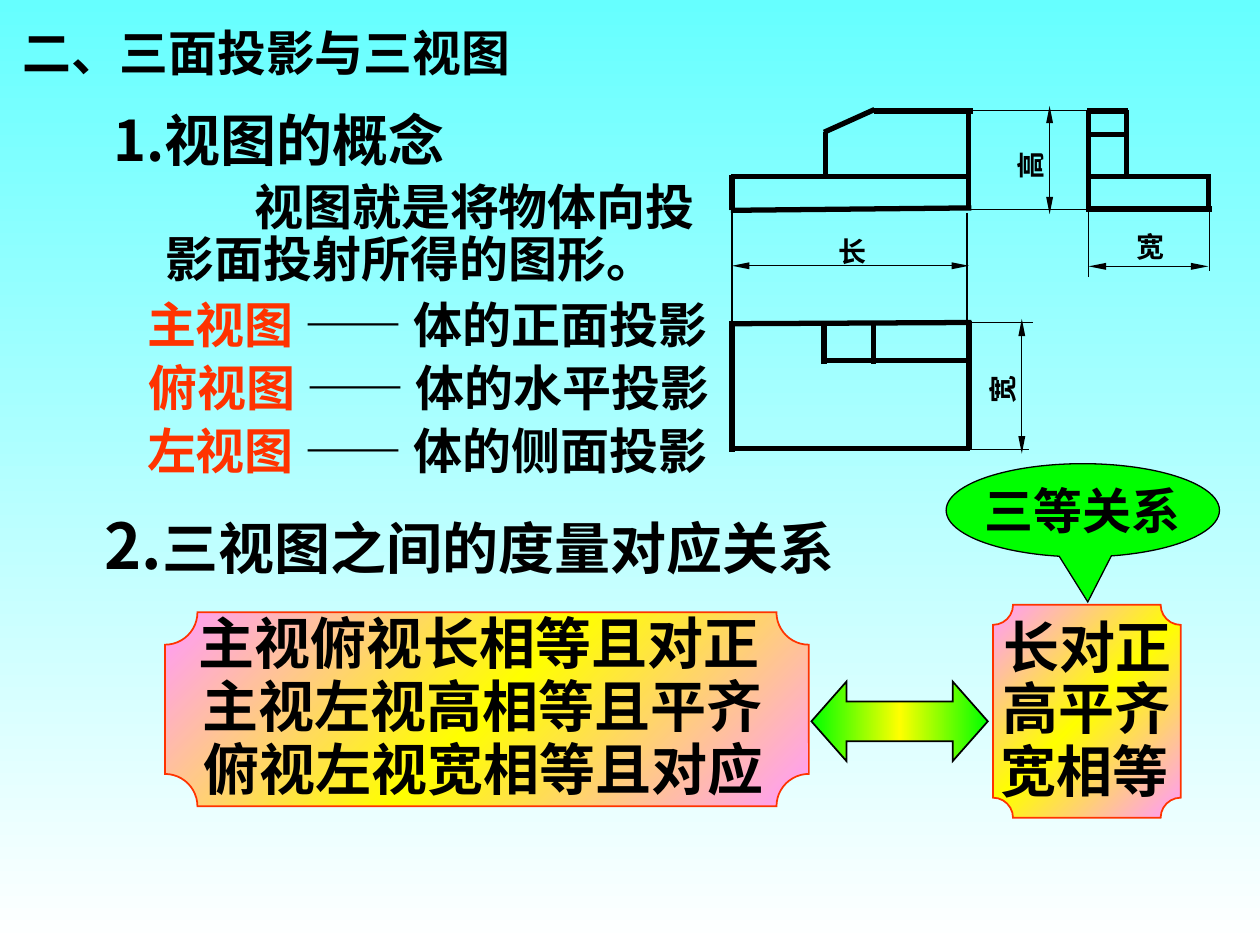
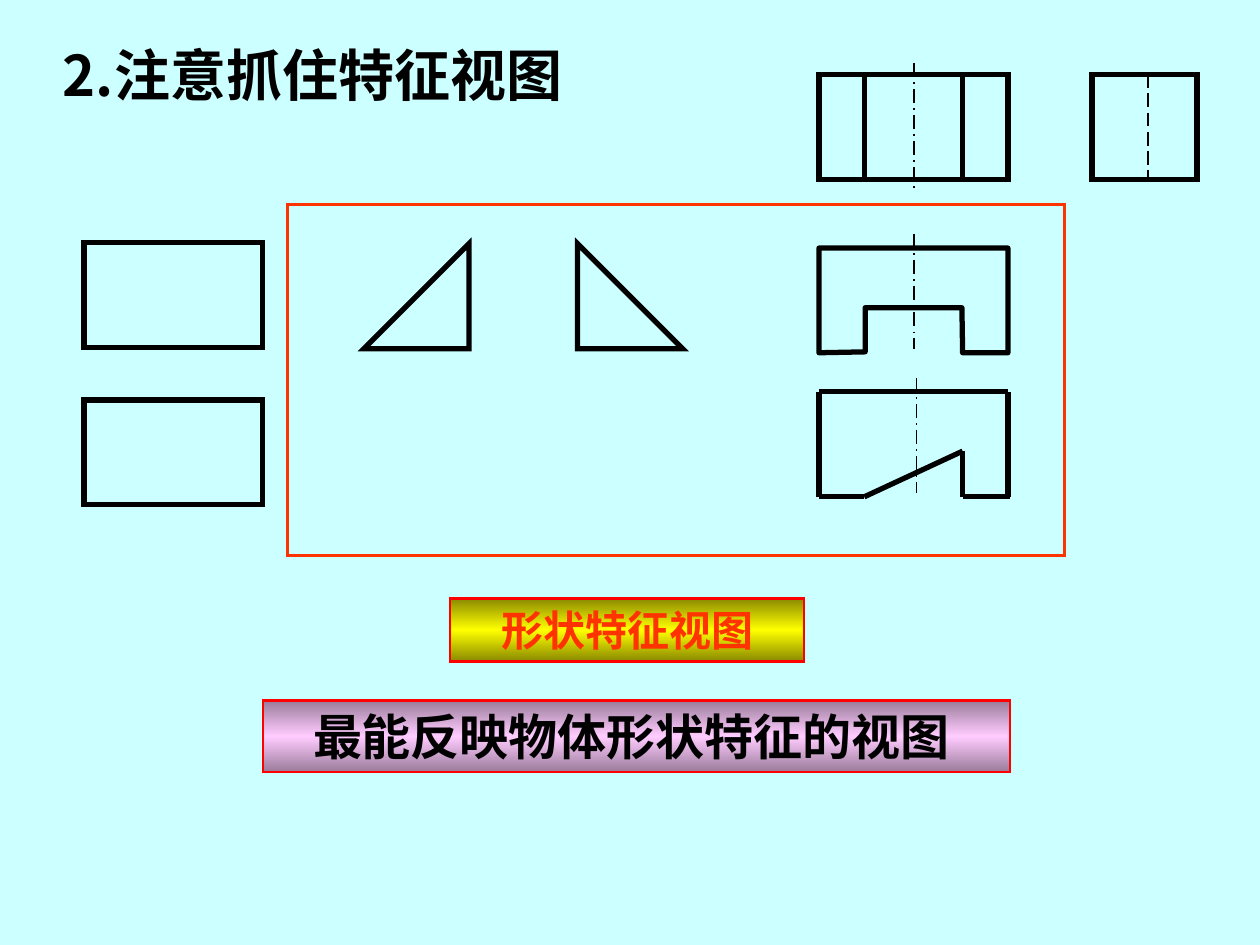
from dataclasses import dataclass
from typing import NamedTuple, Optional, Sequence

from lxml import etree
from pptx import Presentation
from pptx.dml.color import RGBColor
from pptx.dml.fill import FillFormat
from pptx.enum.dml import MSO_LINE
from pptx.enum.shapes import MSO_CONNECTOR, MSO_SHAPE
from pptx.enum.text import MSO_ANCHOR, PP_ALIGN
from pptx.oxml.ns import qn
from pptx.shapes.autoshape import Shape
from pptx.slide import Slide
from pptx.util import Pt

STRAIGHT = MSO_CONNECTOR.STRAIGHT
RECTANGLE, TRIANGLE = MSO_SHAPE.RECTANGLE, MSO_SHAPE.RIGHT_TRIANGLE
PLAQUE, CALLOUT = MSO_SHAPE.PLAQUE, MSO_SHAPE.OVAL_CALLOUT
DOUBLE_ARROW = MSO_SHAPE.LEFT_RIGHT_ARROW
LEFT, CENTER = PP_ALIGN.LEFT, PP_ALIGN.CENTER
TOP, MIDDLE = MSO_ANCHOR.TOP, MSO_ANCHOR.MIDDLE
HIDDEN_EDGE, CENTER_LINE = MSO_LINE.LONG_DASH, MSO_LINE.LONG_DASH_DOT


@dataclass(frozen=True)
class Theme:
    ink: str = "000000"
    accent: str = "FF3300"
    red: str = "FF0000"
    green: str = "00FF00"
    pale: str = "CCFFFF"
    sky: tuple = ("66FFFF", "FFFFFF")
    plaque: tuple = ("FF99FF", "FFFF00", "FF99FF")
    arrow: tuple = ("00FF00", "FFFF00", "00FF00")
    gold: tuple = ("8A8A00", "FFFF00", "8A8A00")
    lilac: tuple = ("9A7B9A", "FFCCFF", "9A7B9A")
    sans: str = "Noto Sans CJK SC"
    serif: str = "Times New Roman"
    number: float = 36
    heading: float = 32
    body: float = 28
    section: float = 27.9
    banner: float = 24
    label: float = 16
    thick: float = 3
    frame: float = 1.5
    medium: float = 1
    thin: float = 0.75


THEME = Theme()


class Area(NamedTuple):
    left: float
    top: float
    width: float
    height: float


class Segment(NamedTuple):
    x1: float
    y1: float
    x2: float
    y2: float


class Span(NamedTuple):
    text: str
    size: float
    color: str


# Dimension lines and the edges of the three views
EXTENSIONS = [
    Segment(418.3, 120.2, 418.3, 190.1), Segment(552.6, 121.7, 552.6, 185.8),
    Segment(554.4, 119.7, 621.4, 119.7), Segment(552.2, 63.2, 622.8, 63.2),
    Segment(553.7, 184.3, 590.4, 184.3), Segment(551.5, 257, 588.2, 257),
    Segment(622.1, 158.4, 622.1, 118.8), Segment(691, 154.8, 691, 118.1),
]
DIMENSIONS = [
    Segment(418.3, 151.9, 553.7, 151.9), Segment(599.8, 60.5, 599.8, 122.4),
    Segment(583.9, 182.2, 583.9, 259.2), Segment(622.1, 152.2, 690.5, 152.2),
]
FRONT_VIEW = [
    Segment(555.1, 118.8, 417.6, 120.2), Segment(418.3, 120.2, 418.3, 100.1),
    Segment(553.3, 119.5, 553.3, 62.6), Segment(555.8, 63.4, 499.7, 63.4),
    Segment(471.6, 101.5, 471.6, 75.6), Segment(470.9, 75.6, 499.7, 62.6),
    Segment(417.6, 100.8, 555.1, 100.8),
]
TOP_VIEW = [
    Segment(417.6, 256.3, 554.4, 256.3), Segment(417.6, 185, 555.1, 184.3),
    Segment(470.2, 205.9, 554.4, 205.9), Segment(418.3, 183.6, 418.3, 258.5),
    Segment(553.7, 183.6, 553.7, 257), Segment(470.9, 208.1, 470.9, 185.8),
    Segment(499, 184.3, 499, 208.1),
]
LEFT_VIEW = [
    Segment(622.1, 118.8, 622.1, 62.6), Segment(690.5, 119.5, 690.5, 100.1),
    Segment(622.1, 100.8, 691.9, 100.8), Segment(620.6, 119.5, 692.6, 119.5),
    Segment(621.4, 63.4, 644.4, 63.4), Segment(622.1, 77, 645.1, 77),
    Segment(643.7, 62.6, 643.7, 100.1),
]

# Edges of the feature views on the second page
NOTCHED_OUTLINE = [
    (468, 141.8), (576, 141.8), (576, 201.6), (550.1, 201.6),
    (549.7, 175.9), (494.4, 175.9), (494.4, 201.1), (468, 201.6),
]
SLOT_EDGES = [Segment(x, 42.5, x, 102.2) for x in (493.9, 550.1)]
SLOPED_VIEW = [
    Segment(493.9, 283.9, 550.1, 257.8), Segment(468, 223.9, 468, 283.9),
    Segment(468, 223.9, 576, 223.9), Segment(577.4, 283.9, 550.1, 283.9),
    Segment(550.1, 283.9, 550.1, 257.8), Segment(493.9, 283.9, 468, 283.9),
    Segment(576, 223.9, 576, 283.9),
]
CENTER_LINES = [
    Segment(522.5, 36, 522.5, 108), Segment(522.5, 133.9, 522.5, 199.4),
    Segment(523.7, 216, 523.7, 281.5),
]


def points(values: Sequence[float]) -> list:
    return [Pt(value) for value in values]


def paint_gradient(fill: FillFormat, holder: etree.ElementBase,
                   colors: Sequence[str], angle: float) -> None:
    """Spread the colours evenly; the angle runs clockwise."""
    fill.gradient()
    fill.gradient_angle = (360 - angle) % 360
    stops = next(holder.iter(qn("a:gsLst")))
    stops[:] = []
    for index, color in enumerate(colors):
        stop = etree.SubElement(stops, qn("a:gs"))
        stop.set("pos", str(index * 100000 // (len(colors) - 1)))
        etree.SubElement(stop, qn("a:srgbClr")).set("val", color)


def write(shape: Shape, text: str, *, size: float = THEME.body, color: str = THEME.ink,
          font: str = THEME.serif, align: PP_ALIGN = LEFT, anchor: MSO_ANCHOR = TOP,
          spacing: float = 1.0, indent: float = 0, wrap: bool = False,
          lead: Optional[Span] = None) -> None:
    frame = shape.text_frame
    frame.word_wrap = wrap
    frame.vertical_anchor = anchor
    if not wrap:  # single lines need the full width of their box
        frame.margin_right = 0
        if align == CENTER:
            frame.margin_left = 0
    para = frame.paragraphs[0]
    para.alignment = align
    para.line_spacing = spacing
    if indent:
        para._p.get_or_add_pPr().set("indent", str(Pt(indent)))
    for part in filter(None, (lead, Span(text, size, color))):
        span = para.add_run()
        span.text = part.text
        span.font.size = Pt(part.size)
        span.font.bold = True
        span.font.name = font
        span.font.color.rgb = RGBColor.from_string(part.color)
        etree.SubElement(span._r.get_or_add_rPr(), qn("a:ea")).set("typeface", THEME.sans)


def add_text(page: Slide, area: Area, text: str, *, rotation: float = 0, **style) -> None:
    box = page.shapes.add_textbox(*points(area))
    box.rotation = rotation
    write(box, text, **style)


def outline(shape: Shape, color: str, width: float) -> None:
    shape.shadow.inherit = False
    shape.line.color.rgb = RGBColor.from_string(color)
    shape.line.width = Pt(width)


def add_figure(page: Slide, kind: MSO_SHAPE, area: Area, *, color: str = THEME.ink,
               width: float = THEME.thick, fill: str = "", gradient: Sequence[str] = (),
               angle: float = 0, adjust: Sequence[float] = (), flip: bool = False) -> Shape:
    shape = page.shapes.add_shape(kind, *points(area))
    outline(shape, color, width)
    etree.SubElement(shape.line._get_or_add_ln(), qn("a:miter")).set("lim", "800000")
    for index, value in enumerate(adjust):
        shape.adjustments[index] = value
    if gradient:
        paint_gradient(shape.fill, shape._element.spPr, gradient, angle)
    elif fill:
        shape.fill.solid()
        shape.fill.fore_color.rgb = RGBColor.from_string(fill)
    else:
        shape.fill.background()
    if flip:
        shape._element.spPr.xfrm.set("flipH", "1")
    return shape


def add_lines(page: Slide, segments: Sequence[Segment], width: float = THEME.thick, *,
              dash: Optional[MSO_LINE] = None, arrows: bool = False) -> None:
    for segment in segments:
        line = page.shapes.add_connector(STRAIGHT, *points(segment))
        line.line.color.rgb = RGBColor.from_string(THEME.ink)
        line.line.width = Pt(width)
        if dash:
            line.line.dash_style = dash
        if arrows:
            for end in ("a:headEnd", "a:tailEnd"):
                tip = etree.SubElement(line.line._get_or_add_ln(), qn(end))
                tip.attrib.update({"type": "triangle", "w": "sm", "len": "lg"})
        etree.SubElement(line._element.spPr, qn("a:effectLst"))


def build_projection_page(page: Slide) -> None:
    paint_gradient(page.background.fill, page._element, THEME.sky, 90)

    # Headings and definition
    add_text(page, Area(5.8, 12.2, 612, 41.8), "二、三面投影与三视图", size=THEME.section,
             font=THEME.sans, anchor=MIDDLE, spacing=0.8, wrap=True)
    add_text(page, Area(57.6, 56.5, 209.5, 46.1), "1.视图的概念", size=THEME.heading,
             font=THEME.sans, wrap=True)
    add_text(page, Area(52.6, 285.8, 438.5, 50.4), "三视图之间的度量对应关系",
             size=THEME.heading, font=THEME.sans, wrap=True,
             lead=Span("2.", THEME.number, THEME.ink))
    add_text(page, Area(87.8, 100.8, 340.6, 67.7), "视图就是将物体向投影面投射所得的图形。",
             anchor=MIDDLE, spacing=0.9, indent=50.5, wrap=True)

    # View names
    views = [("主视图", "正面", 77), ("俯视图", "水平", 77.8), ("左视图", "侧面", 77)]
    for row, (name, plane, left) in enumerate(views):
        add_text(page, Area(left, 164.9 + 36 * row, 335.5, 41), f"—— 体的{plane}投影",
                 lead=Span(f"{name} ", THEME.body, THEME.accent))

    # Three-view drawing
    add_lines(page, EXTENSIONS, THEME.thin)
    add_lines(page, DIMENSIONS, THEME.thin, arrows=True)
    add_lines(page, FRONT_VIEW + TOP_VIEW + LEFT_VIEW)
    labels = [
        ("长", Area(472.3, 130.3, 30.2, 26.6), 0), ("高", Area(573.8, 81.4, 30.2, 26.6), 270),
        ("宽", Area(547.2, 198.7, 51.8, 26.6), 270), ("宽", Area(642.2, 127.4, 42.5, 26.6), 0),
    ]
    for text, area, rotation in labels:
        add_text(page, area, text, size=THEME.label, rotation=rotation, wrap=area.width > 40)

    # Equal-measure relations
    callout = add_figure(page, CALLOUT, Area(540.7, 265, 156.2, 53.3), fill=THEME.green,
                         width=THEME.thin, adjust=(0.018, 0.982))
    write(callout, "三等关系", align=CENTER, anchor=MIDDLE)
    plaques = [(Area(94.3, 349.9, 367.9, 110.9), 0.167),
               (Area(567.4, 345.6, 107.3, 121.7), 0.107)]
    for area, corner in plaques:
        add_figure(page, PLAQUE, area, color=THEME.accent, width=THEME.medium,
                   gradient=THEME.plaque, angle=45, adjust=(corner,))
    add_figure(page, DOUBLE_ARROW, Area(463.7, 389.5, 100.8, 45.4), width=THEME.medium,
               gradient=THEME.arrow, adjust=(0.5, 0.441))
    relations = [("主视俯视长相等且对正", 106.6), ("主视左视高相等且平齐", 108.7),
                 ("俯视左视宽相等且对应", 109.4)]
    for row, (text, left) in enumerate(relations):
        add_text(page, Area(left, 344.2 + 36 * row, 334.8, 46.1), text, size=THEME.heading)
    add_text(page, Area(566.6, 342.7, 110.2, 49.7), "长对正", size=THEME.heading, spacing=1.1)
    for text, left, top in (("高平齐", 565.9, 380.9), ("宽相等", 564.5, 416.9)):
        add_text(page, Area(left, top, 110.2, 46.1), text, size=THEME.heading,
                 align=CENTER, anchor=MIDDLE)


def build_feature_page(page: Slide) -> None:
    page.background.fill.solid()
    page.background.fill.fore_color.rgb = RGBColor.from_string(THEME.pale)
    add_text(page, Area(28.8, 19.4, 357.8, 46.1), "2.注意抓住特征视图", size=THEME.heading,
             font=THEME.sans, wrap=True)

    # Plain views and the frame around the feature views
    side = 60
    for left, top, width in ((624, 42.5, 63 - 0.2), (468, 42.5, 108),
                             (48, 138.5, 102), (48, 228.5, 102)):
        add_figure(page, RECTANGLE, Area(left, top, min(width, side) if left > 600 else width,
                                         side))
    add_figure(page, RECTANGLE, Area(164.2, 116.8, 444.2, 200.7),
               color=THEME.accent, width=THEME.frame)

    # Feature views
    for left, flip in ((330, False), (208, True)):
        add_figure(page, TRIANGLE, Area(left, 139.2, side, side), flip=flip)
    start, *corners = [points(corner) for corner in NOTCHED_OUTLINE]
    builder = page.shapes.build_freeform(*start)
    builder.add_line_segments(corners, close=True)
    notched = builder.convert_to_shape()
    notched.fill.background()
    outline(notched, THEME.ink, THEME.thick)
    add_lines(page, SLOT_EDGES + SLOPED_VIEW)
    add_lines(page, [Segment(656.2, 42.5, 656.2, 102.2)], THEME.medium, dash=HIDDEN_EDGE)
    add_lines(page, CENTER_LINES, THEME.medium, dash=CENTER_LINE)

    # Banners
    banners = [
        (Area(257.2, 342, 202.3, 36), THEME.gold, "形状特征视图",
         dict(size=THEME.banner, color=THEME.accent)),
        (Area(150.3, 400.3, 427, 41), THEME.lilac, "最能反映物体形状特征的视图 ",
         dict(font=THEME.sans)),
    ]
    for area, gradient, text, style in banners:
        banner = add_figure(page, RECTANGLE, area, color=THEME.red, width=THEME.frame,
                            gradient=gradient, angle=90)
        write(banner, text, align=CENTER, anchor=MIDDLE, wrap=True, **style)


def main() -> None:
    deck = Presentation()
    deck.slide_width, deck.slide_height = Pt(720), Pt(540)
    blank = deck.slide_layouts[6]
    for build in (build_projection_page, build_feature_page):
        build(deck.slides.add_slide(blank))
    deck.save("out.pptx")


if __name__ == "__main__":
    main()
